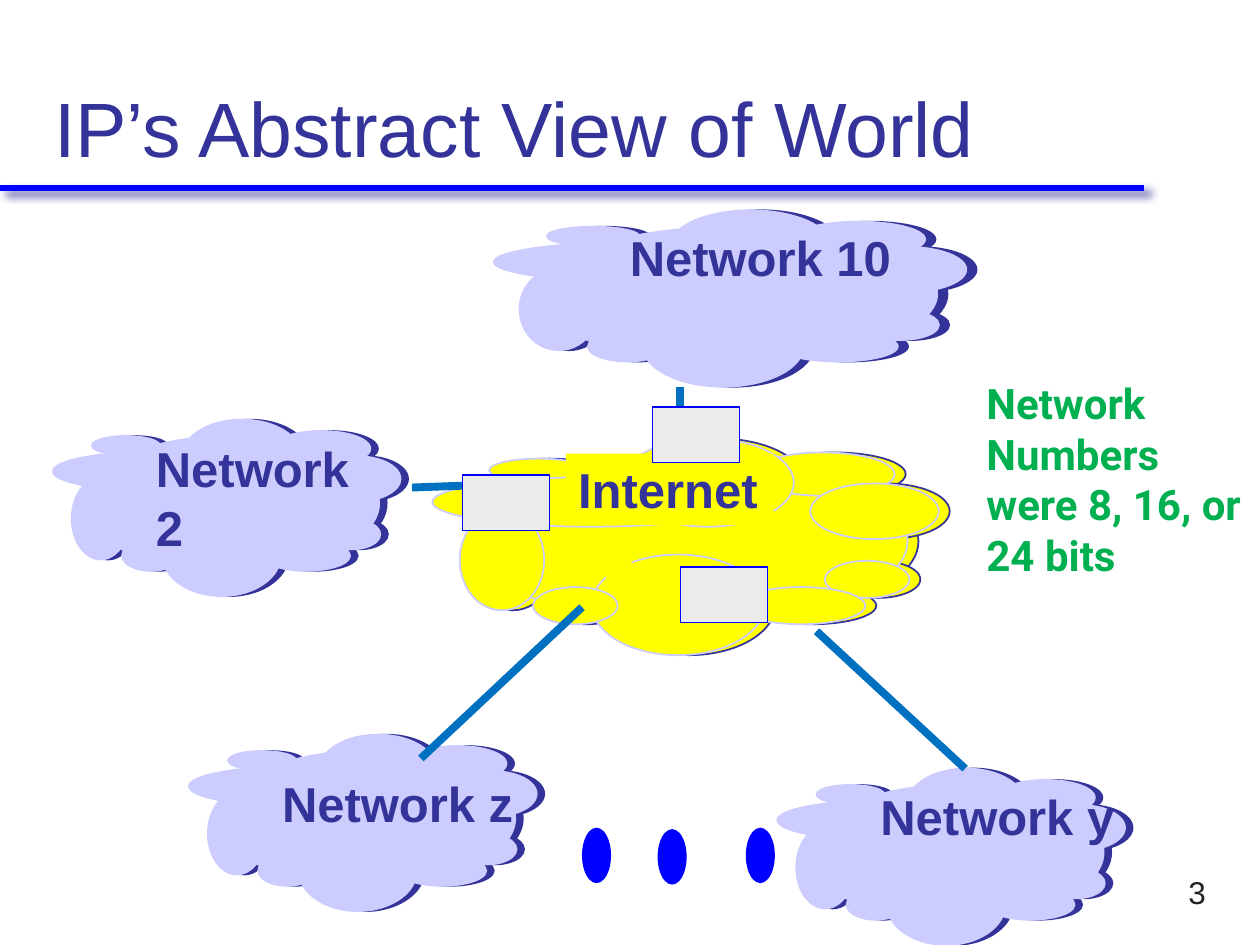
from dataclasses import dataclass
from pptx import Presentation
from pptx.dml.color import RGBColor
from pptx.enum.shapes import MSO_CONNECTOR, MSO_SHAPE
from pptx.enum.text import MSO_ANCHOR, MSO_AUTO_SIZE, PP_ALIGN
from pptx.oxml import parse_xml
from pptx.oxml.ns import nsdecls
from pptx.util import Pt


@dataclass(frozen=True)
class Theme:
    navy: str = "333399"
    lilac: str = "CCCCFF"
    yellow: str = "FFFF00"
    blue: str = "0000FF"
    link: str = "0070C0"
    grey: str = "EBEBEB"
    green: str = "00B050"
    ink: str = "232323"
    face: str = "Arial"
    note_face: str = "Roboto"
    title: int = 44
    label: int = 28
    note: int = 24
    number: int = 18


theme = Theme()
LABEL = {"name": theme.face, "size": Pt(theme.label), "bold": True}
TITLE = {"name": theme.face, "size": Pt(theme.title)}
NOTE = {"name": theme.note_face, "size": Pt(theme.note), "bold": True}
NUMBER = {"name": theme.face, "size": Pt(theme.number)}

GRID = (276, 140)
SHIFT = 6
PUFFS = [
    (23, 13, 236, 107), (31, 13, 54, 15), (174, 9, 78, 28), (103, 0, 94, 57),
    (0, 25, 173, 32), (87, 75, 94, 65), (206, 29, 70, 36), (15, 46, 46, 65),
    (214, 79, 46, 24), (55, 96, 46, 24), (166, 96, 70, 24),
]


def color(code):
    return RGBColor.from_string(code)


def apply(target, values):
    for key, value in values.items():
        setattr(target, key, value)


def points(box):
    return [Pt(round(value, 2)) for value in box]


def shape(parent, kind, box, fill, line=None, width=1):
    item = parent.add_shape(kind, *points(box))
    item.shadow.inherit = False
    item.fill.solid()
    item.fill.fore_color.rgb = color(fill)
    if line:
        item.line.color.rgb = color(line)
        item.line.width = Pt(width)
    else:
        item.line.fill.background()
    return item


def write(item, lines, font, tint, frame=None, align=PP_ALIGN.LEFT):
    text = item.text_frame
    apply(text, {"word_wrap": False, "auto_size": MSO_AUTO_SIZE.NONE,
                 "vertical_anchor": MSO_ANCHOR.TOP} | (frame or {}))
    text.text = "\n".join(lines)
    for para in text.paragraphs:
        para.alignment = align
        apply(para.font, font)
        para.font.color.rgb = color(tint)


def connect(parent, ends, tint, width, effect=""):
    line = parent.add_connector(MSO_CONNECTOR.STRAIGHT, *points(ends))
    line.line.color.rgb = color(tint)
    line.line.width = Pt(width)
    line._element.spPr.append(parse_xml(
        f"<a:effectLst {nsdecls('a')}>{effect}</a:effectLst>"))


def puffs(group, box, fill, line, shift=0):
    left, top, width, height = box
    across, down = width / GRID[0], height / GRID[1]
    for x, y, w, h in PUFFS:
        place = (left + (x + shift) * across, top + y * down, w * across, h * down)
        shape(group, MSO_SHAPE.OVAL, place, fill, line)


def network(slide, box, lines, inset):
    group = slide.shapes.add_group_shape().shapes
    puffs(group, box, theme.navy, theme.navy, SHIFT)
    puffs(group, box, theme.lilac, theme.lilac)
    x, y, w, h = inset
    label = group.add_textbox(*points((box[0] + x, box[1] + y, w, h)))
    write(label, lines, LABEL, theme.navy)


def internet(slide, box):
    group = slide.shapes.add_group_shape().shapes
    puffs(group, box, theme.yellow, theme.navy, SHIFT)
    puffs(group, box, theme.yellow, theme.lilac)
    left, top = box[:2]
    label = shape(group, MSO_SHAPE.RECTANGLE, (left + 76.3, top + 8.6, 118.8, 41),
                  theme.yellow)
    write(label, ["Internet"], LABEL, theme.navy)
    shape(group, MSO_SHAPE.RECTANGLE, (left + 99.4, top + 60.5, 14.4, 24.5),
          theme.yellow)


def header(slide, box):
    left, top, width, height = box
    shadow = ('<a:outerShdw blurRad="63500" dist="53340" dir="2700000">'
              f'<a:srgbClr val="{theme.navy}"><a:alpha val="75000"/></a:srgbClr>'
              '</a:outerShdw>')
    connect(slide.shapes, (0, top + 95.1, 653.8, top + 95.1), theme.blue, 3.5, shadow)
    title = slide.shapes.title
    apply(title, dict(zip(("left", "top", "width", "height"), points(box))))
    write(title, ["IP’s Abstract View of World"], TITLE, theme.navy,
          {"vertical_anchor": MSO_ANCHOR.BOTTOM, "word_wrap": True})


def routers(slide, box):
    left, top = box[:2]
    for x, y in ((17.2, 20.8), (126, -18), (141.8, 73.4)):
        shape(slide.shapes, MSO_SHAPE.RECTANGLE, (left + x, top + y, 49.7, 31.7),
              theme.grey, theme.blue, 0.75)


def dots(slide, box):
    left, top, width, height = box
    for x, y in ((0, 0), (43.2, 0.8), (93.6, 0)):
        shape(slide.shapes, MSO_SHAPE.OVAL, (left + x, top + y, 16.6, height),
              theme.blue)


def note(slide, box):
    item = slide.shapes.add_textbox(*points(box))
    write(item, ["Network Numbers were 8, 16, or 24 bits"], NOTE, theme.green,
          {"word_wrap": True})


def number(slide, box):
    item = slide.shapes.add_textbox(*points(box))
    write(item, ["3"], NUMBER, theme.ink,
          {"vertical_anchor": MSO_ANCHOR.MIDDLE}, PP_ALIGN.RIGHT)


def main():
    deck = Presentation()
    apply(deck, {"slide_width": Pt(720), "slide_height": Pt(540)})
    slide = deck.slides.add_slide(deck.slide_layouts[5])
    core = (247, 250.6, 289.4, 123.8)

    header(slide, (23.8, 12.2, 671.8, 90))
    network(slide, (30.2, 239.8, 198.7, 100.8), ["Network", "2"], (51.8, 7.2, 134, 75))
    network(slide, (108, 419.8, 198.7, 100.8), ["Network z"], (46.1, 18.7, 148.3, 41))
    internet(slide, core)
    network(slide, (444.2, 439.2, 198.7, 100.8), ["Network y"], (51.8, 6.5, 149.8, 41))
    network(slide, (282.2, 120.2, 270, 100.8), ["Network 10"], (70.6, 6.5, 165.6, 41))
    number(slide, (648, 491.8, 48.2, 36))
    for ends in ((388.8, 221, 388.8, 250.6), (235.4, 278.6, 273.6, 277.2),
                 (466.6, 360.7, 551.5, 439.2), (332.6, 347, 240.5, 433.4)):
        connect(slide.shapes, ends, theme.link, 4.5)
    dots(slide, (332.6, 473, 110.2, 31.7))
    routers(slide, core)
    note(slide, (556.6, 212.4, 170.6, 123.8))
    deck.save("out.pptx")


if __name__ == "__main__":
    main()
